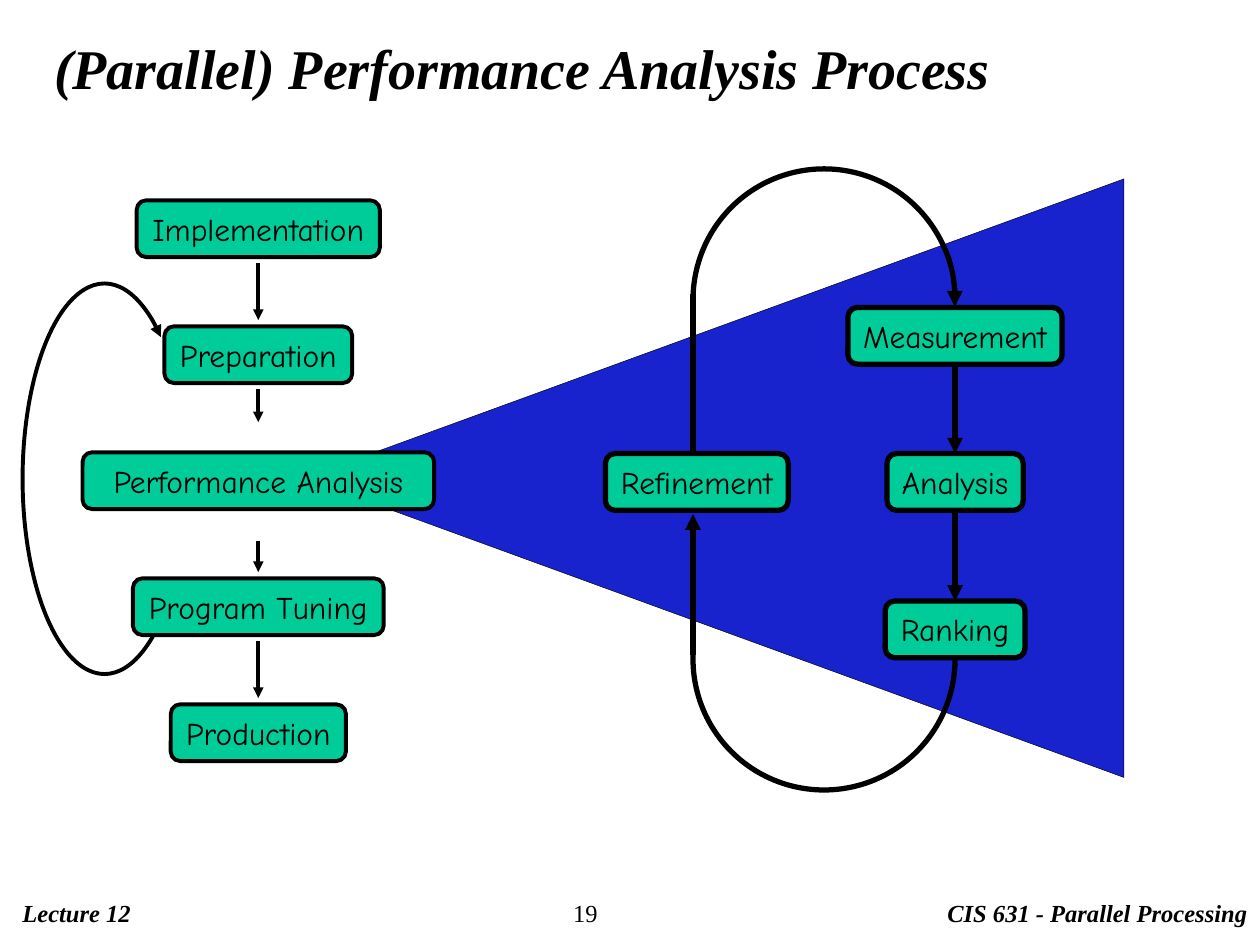
from lxml.etree import SubElement
from pptx import Presentation
from pptx.dml.color import RGBColor
from pptx.enum.shapes import MSO_CONNECTOR, MSO_SHAPE
from pptx.enum.text import MSO_ANCHOR, MSO_AUTO_SIZE, PP_ALIGN
from pptx.oxml.ns import qn
from pptx.util import Inches, Pt


def color(hex_text):
    return RGBColor.from_string(hex_text)


class Deck:
    """Holds the slide and the look of everything drawn on it."""

    SERIF, HAND = "Times New Roman", "Comic Neue"
    INK, BOX_FILL, WEDGE_FILL = "000000", "00CC99", "1822CD"
    BOX_HEIGHT = 0.45

    def __init__(self, prs):
        self.s = prs.slides.add_slide(prs.slide_layouts[5])

    def text_run(self, tf, text, size, font, bold=False):
        """Add one run; bold text is italic too."""
        r = tf.paragraphs[0].add_run()
        r.text = text
        r.font.size, r.font.name = Pt(size), font
        r.font.bold = r.font.italic = bold
        r.font.color.rgb = color(self.INK)

    def ink_line(self, sp, width, arrow=False):
        sp.line.color.rgb = color(self.INK)
        sp.line.width = Pt(width)
        if arrow:
            ln = sp.element.spPr.find(qn("a:ln"))
            SubElement(ln, qn("a:tailEnd"), type="triangle")

    def title(self, text):
        sp = self.s.shapes.title
        sp.left, sp.top = Inches(0.33), Inches(0.28)
        sp.width, sp.height = Inches(9.42), Inches(0.5)
        tf = sp.text_frame
        tf.auto_size = MSO_AUTO_SIZE.NONE
        tf.vertical_anchor = MSO_ANCHOR.MIDDLE
        tf.paragraphs[0].alignment = PP_ALIGN.LEFT
        self.text_run(tf, text, 32, self.SERIF, bold=True)

    def footer(self, text, left, width, bold=True):
        sp = self.s.shapes.add_textbox(
            Inches(left), Inches(7.08), Inches(width), Inches(0.34))
        sp.text_frame.word_wrap = True
        self.text_run(sp.text_frame, text, 14, self.SERIF, bold)

    def wedge(self, points):
        corners = [(Inches(x), Inches(y)) for x, y in points]
        builder = self.s.shapes.build_freeform(*corners[0])
        builder.add_line_segments(corners[1:])
        sp = builder.convert_to_shape()
        sp.shadow.inherit = False
        sp.fill.solid()
        sp.fill.fore_color.rgb = color(self.WEDGE_FILL)
        self.ink_line(sp, 0.25)

    def box(self, text, center_x, top, width, line_width):
        sp = self.s.shapes.add_shape(
            MSO_SHAPE.ROUNDED_RECTANGLE, Inches(center_x - width / 2),
            Inches(top), Inches(width), Inches(self.BOX_HEIGHT))
        sp.shadow.inherit = False
        sp.fill.solid()
        sp.fill.fore_color.rgb = color(self.BOX_FILL)
        self.ink_line(sp, line_width)
        tf = sp.text_frame
        tf.word_wrap = False
        tf.vertical_anchor = MSO_ANCHOR.MIDDLE
        tf.paragraphs[0].alignment = PP_ALIGN.CENTER
        self.text_run(tf, text, 18, self.HAND)
        return sp

    def arc(self, center, radii, angles, width, arrow=False):
        """Draw clockwise between two angles, in degrees from the right."""
        (cx, cy), (rx, ry) = center, radii
        sp = self.s.shapes.add_shape(
            MSO_SHAPE.ARC, Inches(cx - rx), Inches(cy - ry),
            Inches(2 * rx), Inches(2 * ry))
        for i, degrees in enumerate(angles):
            sp.adjustments[i] = degrees * 0.6
        sp.shadow.inherit = False
        sp.fill.background()
        self.ink_line(sp, width, arrow)

    def connector(self, x, y1, y2, width, arrow=True):
        sp = self.s.shapes.add_connector(
            MSO_CONNECTOR.STRAIGHT, Inches(x), Inches(y1), Inches(x), Inches(y2))
        self.ink_line(sp, width, arrow)
        SubElement(sp.element.spPr, qn("a:effectLst"))
        return sp

    def join(self, upper, lower, width):
        sp = self.connector(0, 0, 0, width)
        sp.begin_connect(upper, 2)
        sp.end_connect(lower, 0)


def main():
    prs = Presentation()
    prs.slide_width, prs.slide_height = Inches(10), Inches(7.5)
    deck = Deck(prs)
    deck.title("(Parallel) Performance Analysis Process")
    deck.footer("CIS 631 - Parallel Processing", 7.42, 2.58)
    deck.footer("Lecture 12", 0.08, 7.34)
    deck.footer("19", 4.45, 1.01, bold=False)

    deck.wedge([(8.92, 1.42), (2.92, 3.61), (2.92, 3.98), (8.92, 6.17), (8.92, 1.42)])

    # Analysis cycle on the wedge
    cycle_left, cycle_right, cycle_line = 5.5, 7.58, 3
    middle, radius = (cycle_left + cycle_right) / 2, (cycle_right - cycle_left) / 2
    steps = [("Measurement", 2.44, 1.7), ("Analysis", 3.6, 1.08), ("Ranking", 4.77, 1.11)]
    boxes = [deck.box(text, cycle_right, top, width, cycle_line)
             for text, top, width in steps]
    deck.box("Refinement", 5.53, 3.6, 1.45, cycle_line)
    for upper, lower in zip(boxes, boxes[1:]):
        deck.join(upper, lower, cycle_line)
    deck.arc((middle, 5.23), (radius, radius), (0, 183), cycle_line)
    deck.connector(cycle_left, 5.2, 4.08, cycle_line)
    deck.arc((middle, 2.38), (radius, radius), (180, 3), cycle_line, arrow=True)
    deck.connector(cycle_left, 2.33, 3.58, cycle_line, arrow=False)

    # Development process, top to bottom
    column, first_top, pitch = 2.05, 1.59, 1
    deck.arc((0.83, 3.8), (0.65, 1.55), (70.4, 291.7), 2.25, arrow=True)
    stages = [("Implementation", 1.93), ("Preparation", 1.49),
              ("Performance Analysis", 2.79), ("Program Tuning", 1.99),
              ("Production", 1.39)]
    for i, (text, width) in enumerate(stages):
        deck.box(text, column, first_top + i * pitch, width, 2.25)
    for y1, y2 in [(2.09, 2.54), (3.09, 3.35), (4.29, 4.54), (5.09, 5.54)]:
        deck.connector(column, y1, y2, 2)

    prs.save("out.pptx")


if __name__ == "__main__":
    main()
